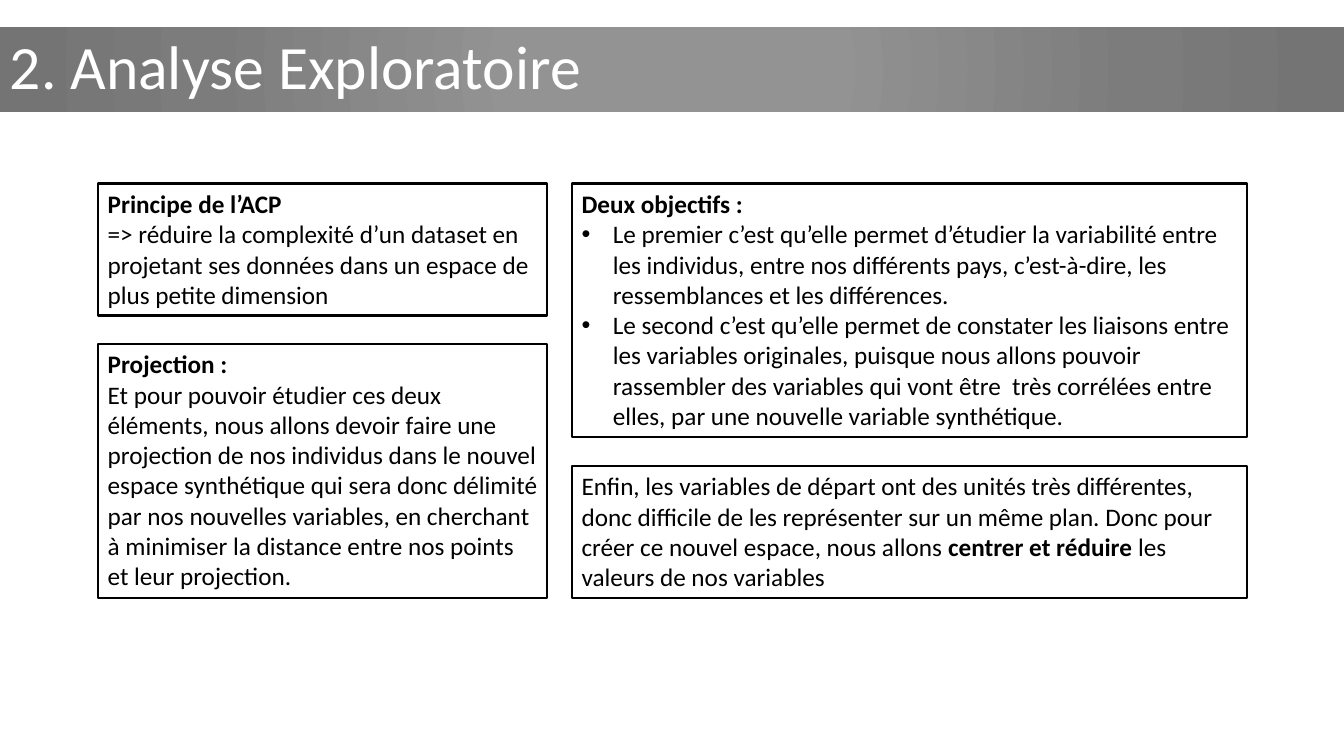
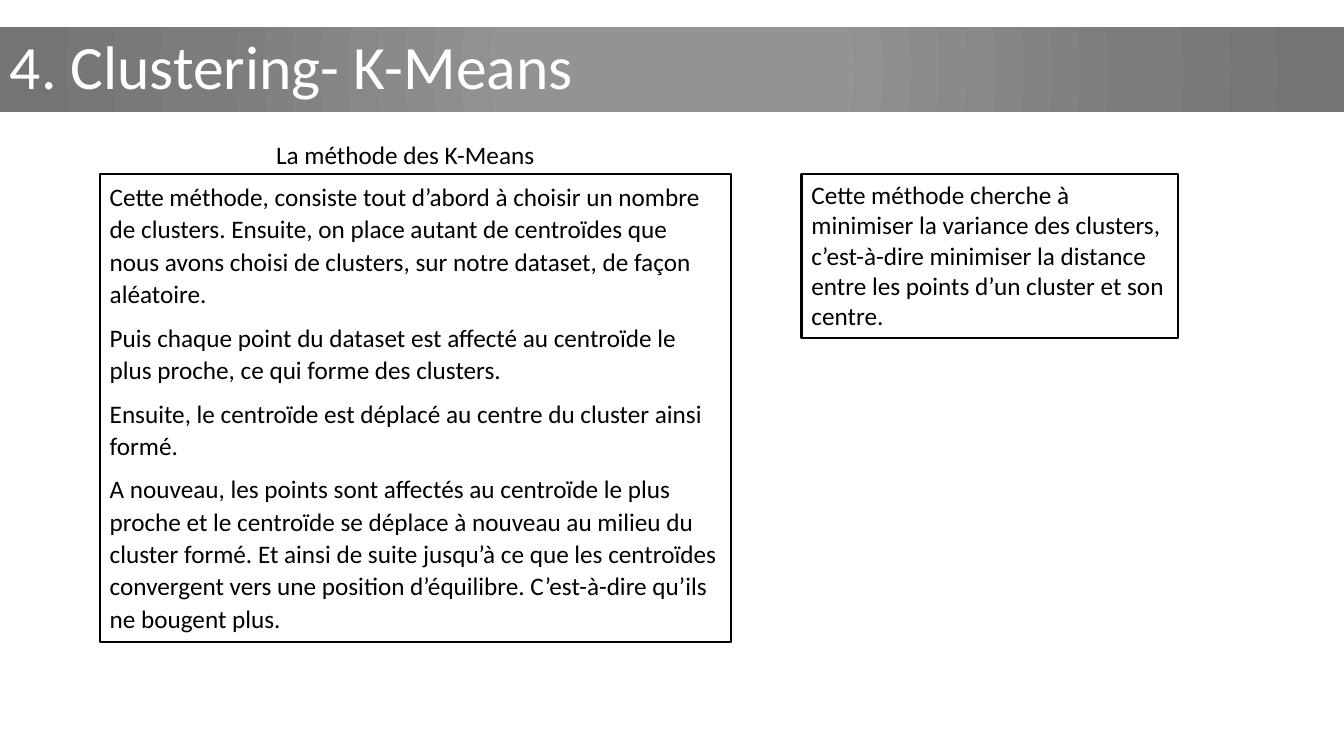
from dataclasses import dataclass

from lxml import etree
from pptx import Presentation
from pptx.dml.color import RGBColor
from pptx.enum.shapes import MSO_SHAPE
from pptx.enum.text import MSO_ANCHOR, MSO_AUTO_SIZE, PP_ALIGN
from pptx.oxml import parse_xml
from pptx.oxml.ns import nsdecls, qn
from pptx.util import Pt

RECTANGLE = MSO_SHAPE.RECTANGLE
LEFT = PP_ALIGN.LEFT
TOP = MSO_ANCHOR.TOP
MIDDLE = MSO_ANCHOR.MIDDLE
GROW = MSO_AUTO_SIZE.SHAPE_TO_FIT_TEXT

EMU_PER_PX = 9144
WIDTH, HEIGHT = 1333, 750


def px(length):
    return length * EMU_PER_PX


@dataclass(frozen=True)
class Theme:
    font: str = "Calibri"
    title_size: int = 44
    body_size: int = 18
    line_width: float = 1.5
    ink: str = "000000"
    title_ink: str = "FFFFFF"
    band_stops: tuple = ((0, "939393"), (23, "939393"), (69, "7C7C7C"), (97, "747474"))
    band_top: int = 27
    band_height: int = 84
    bullet_indent: int = 31


@dataclass(frozen=True)
class Para:
    text: str | tuple
    bold: bool = False
    bullet: bool = False
    line_spacing: float | None = None
    space_after: int = 0


class Deck:
    def __init__(self, theme):
        self.theme = theme
        self.presentation = Presentation()
        self.presentation.slide_width = px(WIDTH)
        self.presentation.slide_height = px(HEIGHT)
        self.slide = None

    def new_slide(self, title):
        self.slide = self.presentation.slides.add_slide(self.presentation.slide_layouts[6])
        self.title_band(title)

    def rectangle(self, left, top, width, height):
        shape = self.slide.shapes.add_shape(RECTANGLE, px(left), px(top), px(width), px(height))
        shape.shadow.inherit = False
        return shape

    def title_band(self, title):
        theme = self.theme
        band = self.rectangle(0, theme.band_top, WIDTH, theme.band_height)
        band.line.fill.background()
        band.fill.gradient()
        stops = "".join(
            f'<a:gs pos="{position * 1000}"><a:srgbClr val="{color}"/></a:gs>'
            for position, color in theme.band_stops
        )
        radial = parse_xml(
            f'<a:gradFill {nsdecls("a")} rotWithShape="1"><a:gsLst>{stops}</a:gsLst>'
            '<a:path path="circle"><a:fillToRect l="50000" t="50000" r="50000" b="50000"/>'
            "</a:path></a:gradFill>"
        )
        properties = band.element.spPr
        properties.replace(properties.find(qn("a:gradFill")), radial)
        self.set_text(band, [Para(title, line_spacing=0.9)],
                      theme.title_size, theme.title_ink, MIDDLE)

    def framed_text(self, left, top, width, height, paras):
        frame = self.rectangle(left, top, width, height)
        frame.fill.background()
        frame.line.color.rgb = RGBColor.from_string(self.theme.ink)
        frame.line.width = Pt(self.theme.line_width)
        self.set_body(frame, paras)

    def caption(self, left, top, width, height, text):
        box = self.slide.shapes.add_textbox(px(left), px(top), px(width), px(height))
        self.set_body(box, [Para(text)])

    def set_body(self, shape, paras):
        self.set_text(shape, paras, self.theme.body_size, self.theme.ink, TOP)
        shape.text_frame.auto_size = GROW

    def set_text(self, shape, paras, size, color, anchor):
        frame = shape.text_frame
        frame.word_wrap = True
        frame.vertical_anchor = anchor
        for index, para in enumerate(paras):
            paragraph = frame.add_paragraph() if index else frame.paragraphs[0]
            paragraph.alignment = LEFT
            paragraph.space_after = Pt(para.space_after)
            if para.line_spacing:
                paragraph.line_spacing = para.line_spacing
            font = paragraph.font
            font.name = self.theme.font
            font.size = Pt(size)
            font.color.rgb = RGBColor.from_string(color)
            if para.bullet:
                self.add_bullet(paragraph)
            if isinstance(para.text, str):
                font.bold = para.bold
                paragraph.add_run().text = para.text
            else:
                for text, bold in para.text:
                    run = paragraph.add_run()
                    run.text = text
                    run.font.bold = bold

    def add_bullet(self, paragraph):
        properties = paragraph._p.get_or_add_pPr()
        indent = px(self.theme.bullet_indent)
        properties.set("marL", str(indent))
        properties.set("indent", str(-indent))
        typeface = etree.Element(qn("a:buFont"), typeface="Arial")
        mark = etree.Element(qn("a:buChar"), char="•")
        defaults = properties.find(qn("a:defRPr"))
        defaults.addprevious(typeface)
        defaults.addprevious(mark)


def exploratory_analysis(deck):
    deck.new_slide("2. Analyse Exploratoire")
    top, bottom = 182, 593
    short, tall = 131, 252
    principle = (97, 446)
    goals = (567, 670)

    deck.framed_text(principle[0], top, principle[1], short, [
        Para("Principe de l’ACP", bold=True),
        Para("=> réduire la complexité d’un dataset en projetant ses données dans "
             "un espace de plus petite dimension"),
    ])
    deck.framed_text(goals[0], top, goals[1], tall, [
        Para("Deux objectifs :", bold=True),
        Para("Le premier c’est qu’elle permet d’étudier la variabilité entre les individus, "
             "entre nos différents pays, c’est-à-dire, les ressemblances et les différences.",
             bullet=True),
        Para("Le second c’est qu’elle permet de constater les liaisons entre les variables "
             "originales, puisque nous allons pouvoir rassembler des variables qui vont être  "
             "très corrélées entre elles, par une nouvelle variable synthétique.",
             bullet=True),
    ])
    deck.framed_text(principle[0], bottom - tall, principle[1], tall, [
        Para("Projection :", bold=True),
        Para("Et pour pouvoir étudier ces deux éléments, nous allons devoir faire une "
             "projection de nos individus dans le nouvel espace synthétique qui sera donc "
             "délimité par nos nouvelles variables, en cherchant à minimiser la distance "
             "entre nos points et leur projection."),
    ])
    deck.framed_text(goals[0], bottom - short, goals[1], short, [
        Para((
            ("Enfin, les variables de départ ont des unités très différentes, donc difficile "
             "de les représenter sur un même plan. Donc pour créer ce nouvel espace, nous "
             "allons ", False),
            ("centrer et réduire ", True),
            ("les valeurs de nos variables", False),
        )),
    ])


def k_means(deck):
    deck.new_slide("4. Clustering- K-Means")
    top = 173
    steps = (
        "Cette méthode, consiste tout d’abord à choisir un nombre de clusters. Ensuite, on "
        "place autant de centroïdes que nous avons choisi de clusters, sur notre dataset, de "
        "façon aléatoire.",
        "Puis chaque point du dataset est affecté au centroïde le plus proche, ce qui forme "
        "des clusters.",
        "Ensuite, le centroïde est déplacé au centre du cluster ainsi formé.",
        "A nouveau, les points sont affectés au centroïde le plus proche et le centroïde se "
        "déplace à nouveau au milieu du cluster formé. Et ainsi de suite jusqu’à ce que les "
        "centroïdes convergent vers une position d’équilibre. C’est-à-dire qu’ils ne bougent "
        "plus.",
    )
    deck.framed_text(99, top, 626, 464,
                     [Para(step, line_spacing=1.07, space_after=8) for step in steps])
    deck.framed_text(795, top, 373, 162, [
        Para("Cette méthode cherche à minimiser la variance des clusters, c’est-à-dire "
             "minimiser la distance entre les points d’un cluster et son centre."),
    ])
    deck.caption(264, top - 40, 297, 40, "La méthode des K-Means")


def main():
    deck = Deck(Theme())
    exploratory_analysis(deck)
    k_means(deck)
    deck.presentation.save("out.pptx")


if __name__ == "__main__":
    main()
